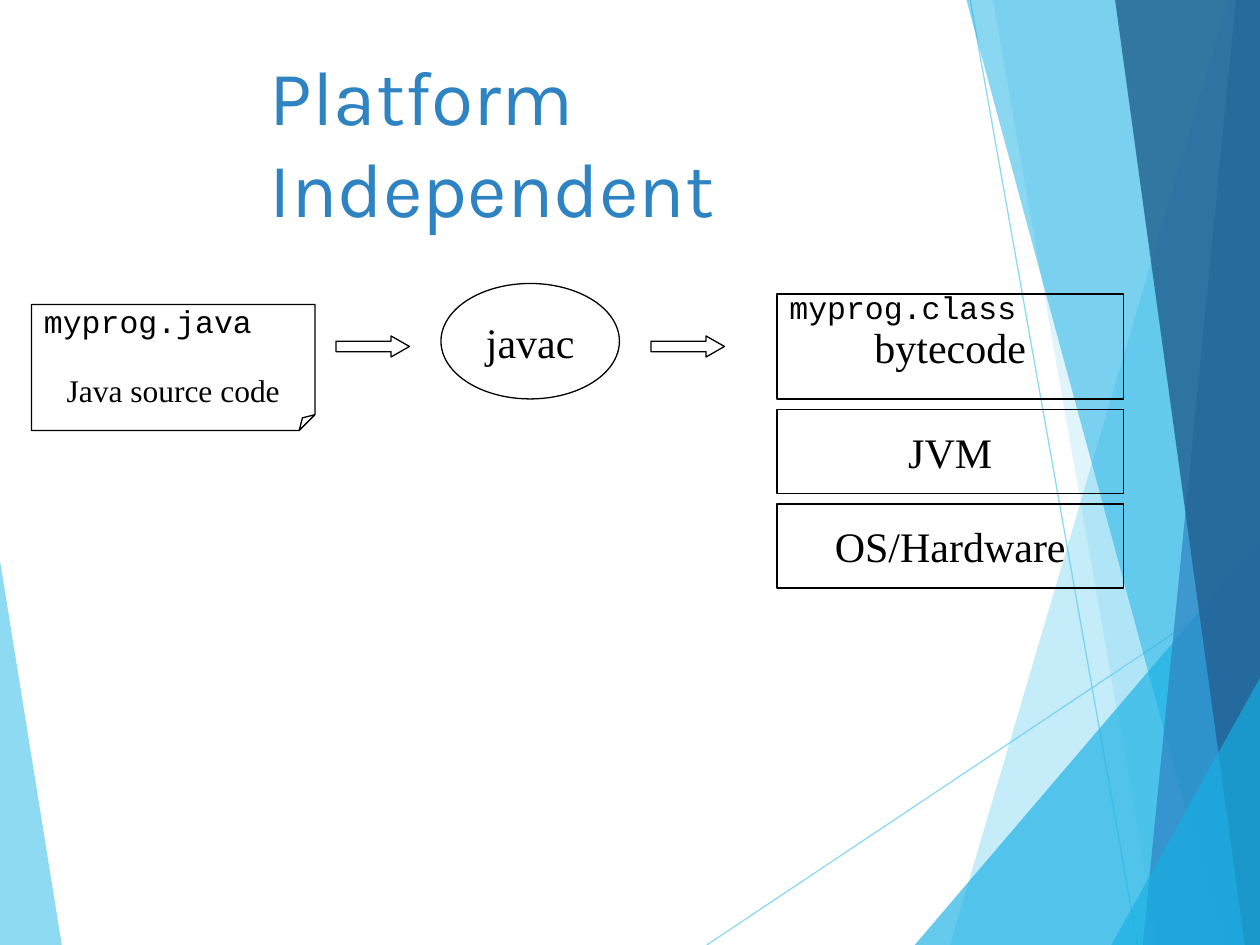
from lxml.etree import SubElement
from pptx import Presentation
from pptx.dml.color import RGBColor
from pptx.enum.shapes import MSO_CONNECTOR, MSO_SHAPE
from pptx.enum.text import MSO_ANCHOR, MSO_AUTO_SIZE, PP_ALIGN
from pptx.oxml.ns import qn
from pptx.util import Inches, Pt

W, H = 10, 7.5
CELL = Inches(1) // 12  # the slide is a grid of 120 columns by 90 rows
COLORS = {"sky": "5FCBEF", "cyan": "17B0E4", "blue": "2E83C3",
          "navy": "236292", "ink": "000000"}
SERIF, MONO, SANS = "Times New Roman", "Courier New", "Karla"

# Background facets: colour, opacity in percent, corners in inches
FACETS = [
    ("sky", 70, [(0, 4.45), (0.49, H), (0, H)]),
    ("sky", 36, [(9.75, 0), (7.54, H), (W, H), (W, 0)]),
    ("sky", 20, [(7.88, 0), (9.19, H), (W, H), (W, 0)]),
    ("cyan", 66, [(7.26, H), (W, 4.29), (W, H)]),
    ("cyan", 50, [(7.67, 0), (9.7, H), (W, H), (W, 0)]),
    ("blue", 70, [(9.81, 0), (9.07, H), (W, H), (W, 0)]),
    ("navy", 82, [(8.85, 0), (9.88, H), (W, H), (W, 0)]),
    ("cyan", 66, [(8.82, H), (W, 5.38), (W, H)]),
]
RAYS = [((5.61, H), (W, 4.57)), ((7.7, 0), (9.03, H))]


def rgb(name):
    return RGBColor.from_string(COLORS[name])


def grid(*cells):
    return [round(c * CELL) for c in cells]


def set_opacity(sp, percent):
    """Add an alpha value to the first colour of a shape."""
    color = sp._element.spPr.find(".//" + qn("a:srgbClr"))
    SubElement(color, qn("a:alpha")).set("val", str(percent * 1000))


def write(tf, text, font=SERIF, size=24, color="ink", align=PP_ALIGN.CENTER,
          anchor=MSO_ANCHOR.MIDDLE, wrap=True, before=0):
    tf.word_wrap, tf.vertical_anchor = wrap, anchor
    tf.auto_size = MSO_AUTO_SIZE.NONE
    p = tf.paragraphs[0]
    p.alignment, p.space_before = align, Pt(before)
    r = p.add_run()
    r.text = text
    r.font.name, r.font.size = font, Pt(size)
    r.font.color.rgb = rgb(color)


def add_facet(s, color, opacity, points):
    pts = [(Inches(x), Inches(y)) for x, y in points]
    fb = s.shapes.build_freeform(*pts[0])
    fb.add_line_segments(pts[1:], close=True)
    sp = fb.convert_to_shape()
    sp.shadow.inherit = False
    sp.line.fill.background()
    sp.fill.solid()
    sp.fill.fore_color.rgb = rgb(color)
    set_opacity(sp, opacity)


def add_ray(s, start, end):
    ray = s.shapes.add_connector(MSO_CONNECTOR.STRAIGHT,
                                 *[Inches(v) for v in start + end])
    ray.line.width = Pt(0.75)
    ray.line.color.rgb = rgb("sky")
    set_opacity(ray, 70)
    SubElement(ray._element.spPr, qn("a:effectLst"))


def add_outline(s, kind, cells, text=None, adj=None, **fmt):
    sp = s.shapes.add_shape(kind, *grid(*cells))
    sp.shadow.inherit = False
    sp.fill.background()
    sp.line.color.rgb, sp.line.width = rgb("ink"), Pt(0.75)
    if adj:
        guides = sp._element.spPr.find(qn("a:prstGeom")).get_or_add_avLst()
        for guide in list(guides):
            guides.remove(guide)
        for name, value in adj.items():
            guide = SubElement(guides, qn("a:gd"))
            guide.set("name", name)
            guide.set("fmla", f"val {value}")
    if text:
        write(sp.text_frame, text, **fmt)


def add_file_name(s, cells, text):
    box = s.shapes.add_textbox(*grid(*cells))
    write(box.text_frame, text, font=MONO, size=18, align=PP_ALIGN.LEFT,
          anchor=MSO_ANCHOR.TOP, before=11.2)


def main():
    prs = Presentation()
    prs.slide_width, prs.slide_height = Inches(W), Inches(H)
    s = prs.slides.add_slide(prs.slide_layouts[5])

    # Background
    for start, end in RAYS:
        add_ray(s, start, end)
    for facet in FACETS:
        add_facet(s, *facet)

    # Title
    title = s.shapes.title
    title.left, title.top, title.width, title.height = grid(24.5, 4, 49, 18.8)
    write(title.text_frame, "Platform Independent", font=SANS, size=44,
          color="blue", align=PP_ALIGN.LEFT, anchor=MSO_ANCHOR.TOP, before=27.5)

    # Source file and compiler
    add_outline(s, MSO_SHAPE.FOLDED_CORNER, (3, 29, 27, 12), "Java source code",
                adj={"adj": 12500}, size=18, anchor=MSO_ANCHOR.BOTTOM)
    add_file_name(s, (3, 28.2, 26, 4.8), "myprog.java")
    add_outline(s, MSO_SHAPE.OVAL, (42, 27, 17, 11), "javac", wrap=False)
    for col in (32, 62):
        add_outline(s, MSO_SHAPE.RIGHT_ARROW, (col, 32, 7, 2),
                    adj={"adj1": 50000, "adj2": 87400})

    # Runtime stack, one row apart
    row = 28
    for text, rows in (("bytecode", 10), ("JVM", 8), ("OS/Hardware", 8)):
        add_outline(s, MSO_SHAPE.RECTANGLE, (74, row, 33, rows), text, wrap=False)
        row += rows + 1
    add_file_name(s, (74, 26.8, 27, 4.8), "myprog.class")

    prs.save("out.pptx")


if __name__ == "__main__":
    main()
